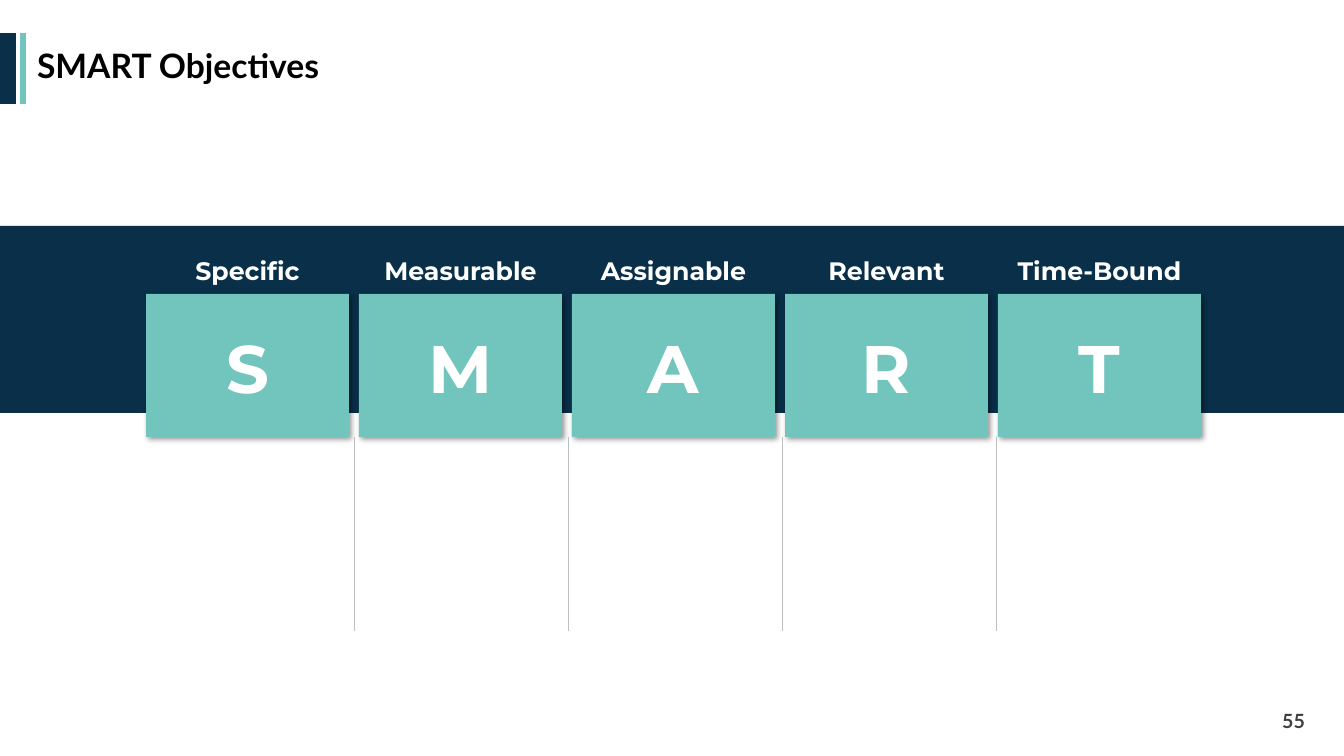
from lxml import etree
from pptx import Presentation
from pptx.dml.color import RGBColor
from pptx.enum.shapes import MSO_CONNECTOR, MSO_SHAPE
from pptx.enum.text import MSO_ANCHOR, MSO_AUTO_SIZE, PP_ALIGN
from pptx.oxml import parse_xml
from pptx.oxml.ns import qn
from pptx.util import Pt

# Content
TITLE = "SMART Objectives"
PAGE_NUMBER = "55"
OBJECTIVES = [
    ("S", "Specific"),
    ("M", "Measurable"),
    ("A", "Assignable"),
    ("R", "Relevant"),
    ("T", "Time-Bound"),
]

# Style
NAVY = RGBColor(0x09, 0x2F, 0x49)
TEAL = RGBColor(0x72, 0xC5, 0xBC)
WHITE = RGBColor(0xFF, 0xFF, 0xFF)
BLACK = RGBColor(0x00, 0x00, 0x00)
DARK_GREY = RGBColor(0x40, 0x40, 0x40)
LIGHT_GREY = RGBColor(0xBF, 0xBF, 0xBF)
LATO, MONTSERRAT = "Lato", "Montserrat"
LEFT, CENTER, RIGHT = PP_ALIGN.LEFT, PP_ALIGN.CENTER, PP_ALIGN.RIGHT
TOP, MIDDLE = MSO_ANCHOR.TOP, MSO_ANCHOR.MIDDLE
NO_FIT, GROW = MSO_AUTO_SIZE.NONE, MSO_AUTO_SIZE.SHAPE_TO_FIT_TEXT
RECTANGLE, STRAIGHT = MSO_SHAPE.RECTANGLE, MSO_CONNECTOR.STRAIGHT
CARD_SHADOW = (
    '<a:outerShdw xmlns:a="http://schemas.openxmlformats.org/drawingml/2006/main"'
    ' blurRad="50800" dist="25400" dir="2700000" algn="tl" rotWithShape="0">'
    '<a:srgbClr val="000000"><a:alpha val="40000"/></a:srgbClr></a:outerShdw>'
)

# Layout in px
SLIDE_WIDTH, SLIDE_HEIGHT = 1344, 756
CARD_LEFT, CARD_TOP, CARD_WIDTH, CARD_HEIGHT, CARD_PITCH = 146, 294, 203, 143, 213
LETTER_TOP, LETTER_WIDTH, LETTER_HEIGHT = 321, 91, 92
LABEL_TOP, LABEL_HEIGHT = 250, 40
DIVIDER_LEFT, DIVIDER_PITCH, DIVIDER_TOP, DIVIDER_BOTTOM = 354, 214, 437, 631


def px(length):
    return round(length * 914400 / 100.8)


def add_rectangle(slide, left, top, width, height, color):
    shape = slide.shapes.add_shape(RECTANGLE, px(left), px(top), px(width), px(height))
    shape.fill.solid()
    shape.fill.fore_color.rgb = color
    shape.line.fill.background()
    shape.shadow.inherit = False
    return shape


def write(shape, text, font_name, size, color, alignment, anchor=TOP, fit=NO_FIT):
    frame = shape.text_frame
    frame.text = text
    frame.word_wrap = True
    frame.auto_size = fit
    frame.vertical_anchor = anchor
    paragraph = frame.paragraphs[0]
    paragraph.alignment = alignment
    font = paragraph.runs[0].font
    font.name, font.size, font.bold = font_name, Pt(size), True
    font.color.rgb = color
    return paragraph


def add_text(slide, box, *style, **options):
    write(slide.shapes.add_textbox(*map(px, box)), *style, **options)


def add_divider(slide, left):
    line = slide.shapes.add_connector(
        STRAIGHT, px(left), px(DIVIDER_TOP), px(left), px(DIVIDER_BOTTOM))
    line.line.color.rgb = LIGHT_GREY
    line.line.width = Pt(0.5)
    etree.SubElement(line._element.spPr, qn("a:effectLst"))


def main():
    presentation = Presentation()
    presentation.slide_width, presentation.slide_height = px(SLIDE_WIDTH), px(SLIDE_HEIGHT)
    slide = presentation.slides.add_slide(presentation.slide_layouts[5])

    # Title with its accent bars
    add_rectangle(slide, 0, 33, 16, 71, NAVY)
    add_rectangle(slide, 20, 33, 6, 71, TEAL)
    title = slide.shapes.title
    title.left, title.top, title.width, title.height = map(px, (27, 32, 1287, 72))
    write(title, TITLE, LATO, 24, BLACK, LEFT, MIDDLE).line_spacing = 0.9

    # Band and page number
    add_rectangle(slide, 0, 226, SLIDE_WIDTH, 187, NAVY)
    add_text(slide, (1013, 701, 302, 40), PAGE_NUMBER, LATO, 14, DARK_GREY, RIGHT,
             anchor=MIDDLE)

    # Cards with letters and labels
    for index, (letter, label) in enumerate(OBJECTIVES):
        left = CARD_LEFT + index * CARD_PITCH
        card = add_rectangle(slide, left, CARD_TOP, CARD_WIDTH, CARD_HEIGHT, TEAL)
        card._element.spPr.find(qn("a:effectLst")).append(parse_xml(CARD_SHADOW))
        letter_left = left + (CARD_WIDTH - LETTER_WIDTH) / 2
        add_text(slide, (letter_left, LETTER_TOP, LETTER_WIDTH, LETTER_HEIGHT),
                 letter, MONTSERRAT, 48, WHITE, CENTER, fit=GROW)
        add_text(slide, (left, LABEL_TOP, CARD_WIDTH, LABEL_HEIGHT),
                 label, MONTSERRAT, 18, WHITE, CENTER, fit=GROW)

    # Dividers between the columns
    for index in range(len(OBJECTIVES) - 1):
        add_divider(slide, DIVIDER_LEFT + index * DIVIDER_PITCH)

    presentation.save("out.pptx")


if __name__ == "__main__":
    main()
